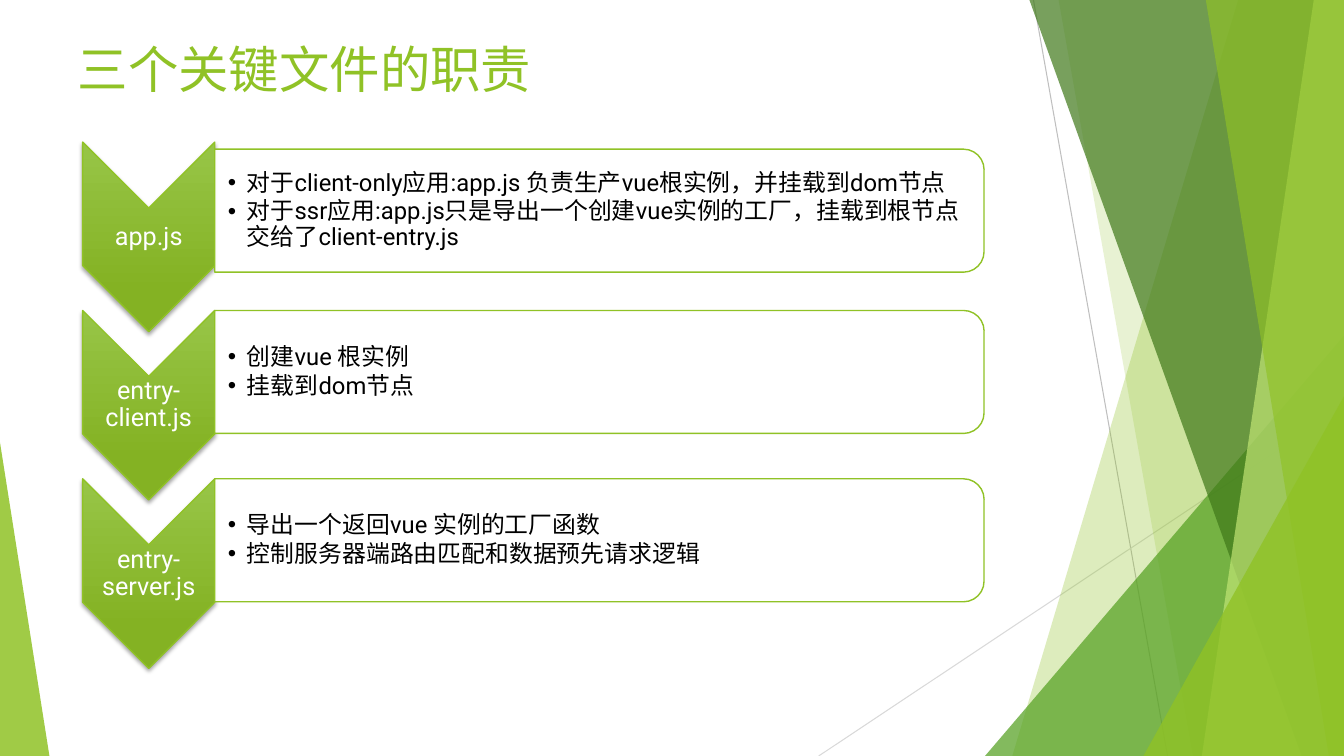
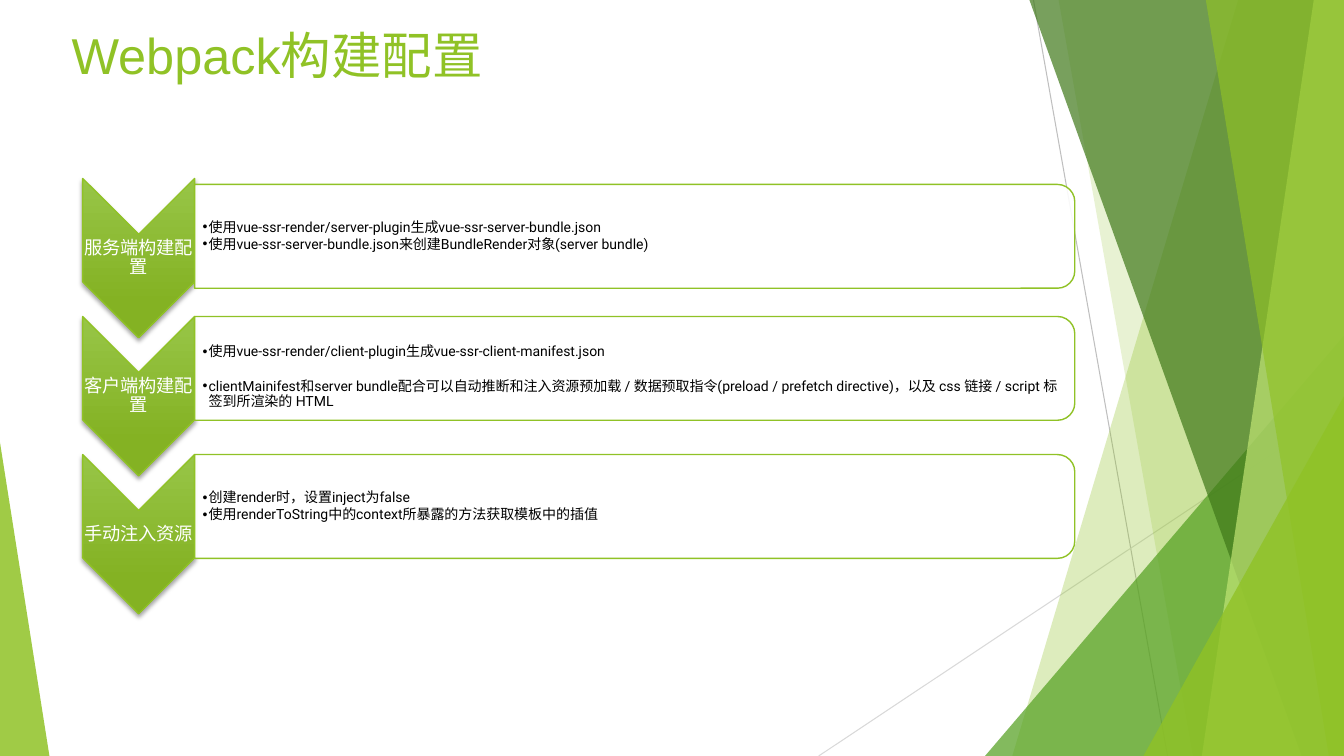
from dataclasses import dataclass

import lxml.etree
import pptx
import pptx.dml.color
import pptx.enum.shapes
import pptx.enum.text
import pptx.oxml
import pptx.oxml.ns
import pptx.util
from pptx.util import Inches

GREEN = "90C226"
LEAF = "54A021"
FOREST = "3F7819"
LIME = "C0E474"
WHITE = "FFFFFF"
BLACK = "000000"
BODY_FONT = "Roboto"
CJK_FONT = "Noto Sans CJK SC"
TITLE_SIZE = 36
ROW_LEFT = 0.82
EDGE_RIGHT = 13.33
EDGE_BOTTOM = 7.5

SHAPE = pptx.enum.shapes.MSO_SHAPE
ALIGN = pptx.enum.text.PP_ALIGN
ANCHOR = pptx.enum.text.MSO_ANCHOR
qn = pptx.oxml.ns.qn


@dataclass(frozen=True)
class Line:
    start: tuple[float, float]
    end: tuple[float, float]
    color: str


@dataclass(frozen=True)
class Band:
    """A full-height band that runs to the right edge of the slide."""
    top_left: float
    bottom_left: float
    color: str
    opacity: int


@dataclass(frozen=True)
class Triangle:
    left: float
    top: float
    width: float
    tip: float
    color: str
    opacity: int


@dataclass(frozen=True)
class Row:
    label: str
    bullets: tuple[str, ...]
    bullet_gap: float | None = None
    top_inset: float = 0.01


@dataclass(frozen=True)
class RowStyle:
    top: float
    pitch: float
    chevron_width: float
    chevron_height: float
    box_width: float
    box_height: float
    first_box_drop: float
    label_size: int
    bullet_size: int
    bullet_indent: float
    text_inset: float


@dataclass(frozen=True)
class Page:
    title: tuple[tuple[str, str], ...]
    title_at: tuple[float, float, float]
    style: RowStyle
    rows: tuple[Row, ...]


DECORATIONS = (
    Line((10.25, 0), (11.58, EDGE_BOTTOM), "BFBFBF"),
    Line((EDGE_RIGHT, 4.03), (8.12, EDGE_BOTTOM), "D9D9D9"),
    Band(12.28, 10.04, GREEN, 30),
    Band(10.5, 11.83, GREEN, 20),
    Triangle(9.77, 3.33, 3.56, 1, LEAF, 72),
    Band(10.21, 12.91, FOREST, 70),
    Band(13.03, 11.92, LIME, 70),
    Band(11.96, 13.18, GREEN, 65),
    Triangle(11.34, 3.93, 1.99, 1, GREEN, 80),
    Triangle(0, 4.39, 0.49, 0, GREEN, 85),
)

PAGES = (
    Page(
        (("三个关键文件的职责", CJK_FONT),),
        (0.67, 0.44, 4.75),
        RowStyle(1.41, 1.67, 1.31, 1.88, 7.63, 1.22, 0.07, 18, 17, 0.19, 0.13),
        (
            Row("app.js", (
                "对于client-only应用:app.js 负责生产vue根实例，并挂载到dom节点",
                "对于ssr应用:app.js只是导出一个创建vue实例的工厂，挂载到根节点交给了client-entry.js",
            )),
            Row("entry-client.js", ("创建vue 根实例", "挂载到dom节点")),
            Row("entry-server.js", (
                "导出一个返回vue 实例的工厂函数",
                "控制服务器端路由匹配和数据预先请求逻辑",
            )),
        ),
    ),
    Page(
        (("Webpack", "Arial"), ("构建配置", CJK_FONT)),
        (0.61, 0.31, 4.32),
        RowStyle(1.77, 1.37, 1.11, 1.58, 8.73, 1.03, 0.06, 13, 10, 0.06, 0.08),
        (
            Row("服务端构建配置", (
                "使用vue-ssr-render/server-plugin生成vue-ssr-server-bundle.json",
                "使用vue-ssr-server-bundle.json来创建BundleRender对象(server bundle)",
            )),
            Row("客户端构建配置", (
                "使用vue-ssr-render/client-plugin生成vue-ssr-client-manifest.json",
                "clientMainifest和server bundle配合可以自动推断和注入资源预加载 / 数据预取指令"
                "(preload / prefetch directive)，以及 css 链接 / script 标签到所渲染的 HTML",
            ), bullet_gap=14, top_inset=0.18),
            Row("手动注入资源", (
                "创建render时，设置inject为false",
                "使用renderToString中的context所暴露的方法获取模板中的插值",
            )),
        ),
    ),
)


def rgb(color: str) -> pptx.dml.color.RGBColor:
    return pptx.dml.color.RGBColor.from_string(color)


def fill_solid(shape, color: str, opacity: int) -> None:
    shape.fill.solid()
    shape.fill.fore_color.rgb = rgb(color)
    color_element = shape.element.spPr.find(qn("a:solidFill"))[0]
    alpha = lxml.etree.SubElement(color_element, qn("a:alpha"))
    alpha.set("val", str(opacity * 1000))


def outline(shape, color: str, width: float) -> None:
    shape.line.color.rgb = rgb(color)
    shape.line.width = pptx.util.Pt(width)


def add_span(para, text: str, font: str, size: float, color: str) -> None:
    span = para.add_run()
    span.text = text
    span.font.name = font
    span.font.size = pptx.util.Pt(size)
    span.font.color.rgb = rgb(color)
    east_asian = lxml.etree.SubElement(span.font._element, qn("a:ea"))
    east_asian.set("typeface", font)


def draw_decoration(slide, item: Line | Band | Triangle):
    if isinstance(item, Line):
        line = slide.shapes.add_connector(
            pptx.enum.shapes.MSO_CONNECTOR.STRAIGHT,
            *(Inches(value) for value in item.start + item.end))
        outline(line, item.color, 0.75)
        lxml.etree.SubElement(line.element.spPr, qn("a:effectLst"))
        return line
    if isinstance(item, Band):
        builder = slide.shapes.build_freeform(Inches(item.top_left), 0)
        corners = ((EDGE_RIGHT, 0), (EDGE_RIGHT, EDGE_BOTTOM), (item.bottom_left, EDGE_BOTTOM))
        builder.add_line_segments([(Inches(x), Inches(y)) for x, y in corners], close=True)
        shape = builder.convert_to_shape()
    else:
        shape = slide.shapes.add_shape(
            SHAPE.ISOSCELES_TRIANGLE, Inches(item.left), Inches(item.top),
            Inches(item.width), Inches(EDGE_BOTTOM - item.top))
        shape.adjustments[0] = item.tip
    shape.shadow.inherit = False
    shape.line.fill.background()
    fill_solid(shape, item.color, item.opacity)
    return shape


def decorate_layout(layout, slide) -> None:
    """Draw the shared decorations on a slide and move them to its layout."""
    for number, item in enumerate(DECORATIONS, start=101):
        shape = draw_decoration(slide, item)
        shape.element.xpath(".//p:cNvPr")[0].set("id", str(number))
        layout.shapes.element.append(shape.element)


def write_title(slide, page: Page) -> None:
    title = slide.shapes.title
    left, top, width = page.title_at
    title.left, title.top = Inches(left), Inches(top)
    title.width, title.height = Inches(width), Inches(0.71)
    frame = title.text_frame
    frame.word_wrap = True
    frame.auto_size = pptx.enum.text.MSO_AUTO_SIZE.SHAPE_TO_FIT_TEXT
    frame.vertical_anchor = ANCHOR.TOP
    para = frame.paragraphs[0]
    para.alignment = ALIGN.LEFT
    para.line_spacing = 0.8
    for text, font in page.title:
        add_span(para, text, font, TITLE_SIZE, GREEN)


def add_turned_shape(slide, kind, left: float, top: float, width: float, height: float):
    """Add a shape turned by 90 degrees that covers the given area."""
    shape = slide.shapes.add_shape(
        kind, Inches(left + (width - height) / 2), Inches(top + (height - width) / 2),
        Inches(height), Inches(width))
    shape.rotation = 90
    shape.shadow.inherit = False
    outline(shape, GREEN, 1)
    return shape


def add_chevron(slide, left: float, top: float, width: float, height: float) -> None:
    chevron = add_turned_shape(slide, SHAPE.CHEVRON, left, top, width, height)
    chevron.fill.gradient()
    chevron.fill.gradient_angle = 270
    for stop, position, color in zip(chevron.fill.gradient_stops, (0, 0.78), ("97C547", "84B223")):
        stop.position = position
        stop.color.rgb = rgb(color)
    properties = chevron.element.spPr
    properties.find(qn("a:gradFill")).set("rotWithShape", "0")
    properties.find(qn("a:effectLst")).append(pptx.oxml.parse_xml(
        '<a:outerShdw xmlns:a="http://schemas.openxmlformats.org/drawingml/2006/main"'
        ' blurRad="38100" dist="25400" dir="5400000" rotWithShape="0">'
        f'<a:srgbClr val="{BLACK}"><a:alpha val="35000"/></a:srgbClr></a:outerShdw>'))


def add_text_frame(slide, left: float, top: float, width: float, height: float,
                   left_inset: float = 0.01, top_inset: float = 0.01):
    box = slide.shapes.add_textbox(Inches(left), Inches(top), Inches(width), Inches(height))
    frame = box.text_frame
    frame.word_wrap = True
    frame.vertical_anchor = ANCHOR.MIDDLE
    frame.margin_left, frame.margin_top = Inches(left_inset), Inches(top_inset)
    frame.margin_right = frame.margin_bottom = Inches(0.01)
    return frame


def set_bullet(para, indent: float) -> None:
    properties = para._p.get_or_add_pPr()
    properties.set("marL", str(Inches(indent)))
    properties.set("indent", str(-Inches(indent)))
    lxml.etree.SubElement(properties, qn("a:buFont")).set("typeface", "Arial")
    lxml.etree.SubElement(properties, qn("a:buChar")).set("char", "•")


def draw_row(slide, row: Row, style: RowStyle, index: int) -> None:
    top = style.top + index * style.pitch
    width, height = style.chevron_width, style.chevron_height
    add_chevron(slide, ROW_LEFT, top, width, height)
    label = add_text_frame(slide, ROW_LEFT, top + width / 2, width, height - width)
    para = label.paragraphs[0]
    para.alignment = ALIGN.CENTER
    para.line_spacing = 0.9
    add_span(para, row.label, BODY_FONT, style.label_size, WHITE)

    box_left = ROW_LEFT + width
    box_top = top + (style.first_box_drop if index == 0 else 0)
    box = add_turned_shape(slide, SHAPE.ROUND_2_SAME_RECTANGLE,
                           box_left, box_top, style.box_width, style.box_height)
    fill_solid(box, WHITE, 90)
    frame = add_text_frame(slide, box_left, box_top + 0.06, style.box_width - 0.06,
                           style.box_height - 0.12, style.text_inset, row.top_inset)
    for number, text in enumerate(row.bullets):
        para = frame.add_paragraph() if number else frame.paragraphs[0]
        para.line_spacing = 0.9
        if number < len(row.bullets) - 1:
            para.space_after = pptx.util.Pt(row.bullet_gap or style.bullet_size * 0.13)
        set_bullet(para, style.bullet_indent)
        add_span(para, text, BODY_FONT, style.bullet_size, BLACK)


def main() -> None:
    deck = pptx.Presentation()
    deck.slide_width, deck.slide_height = Inches(EDGE_RIGHT), Inches(EDGE_BOTTOM)
    layout = deck.slide_layouts.get_by_name("Title Only")
    slides = [deck.slides.add_slide(layout) for _ in PAGES]
    decorate_layout(layout, slides[0])
    for slide, page in zip(slides, PAGES):
        write_title(slide, page)
        for index, row in enumerate(page.rows):
            draw_row(slide, row, page.style, index)
    deck.save("out.pptx")


if __name__ == "__main__":
    main()
